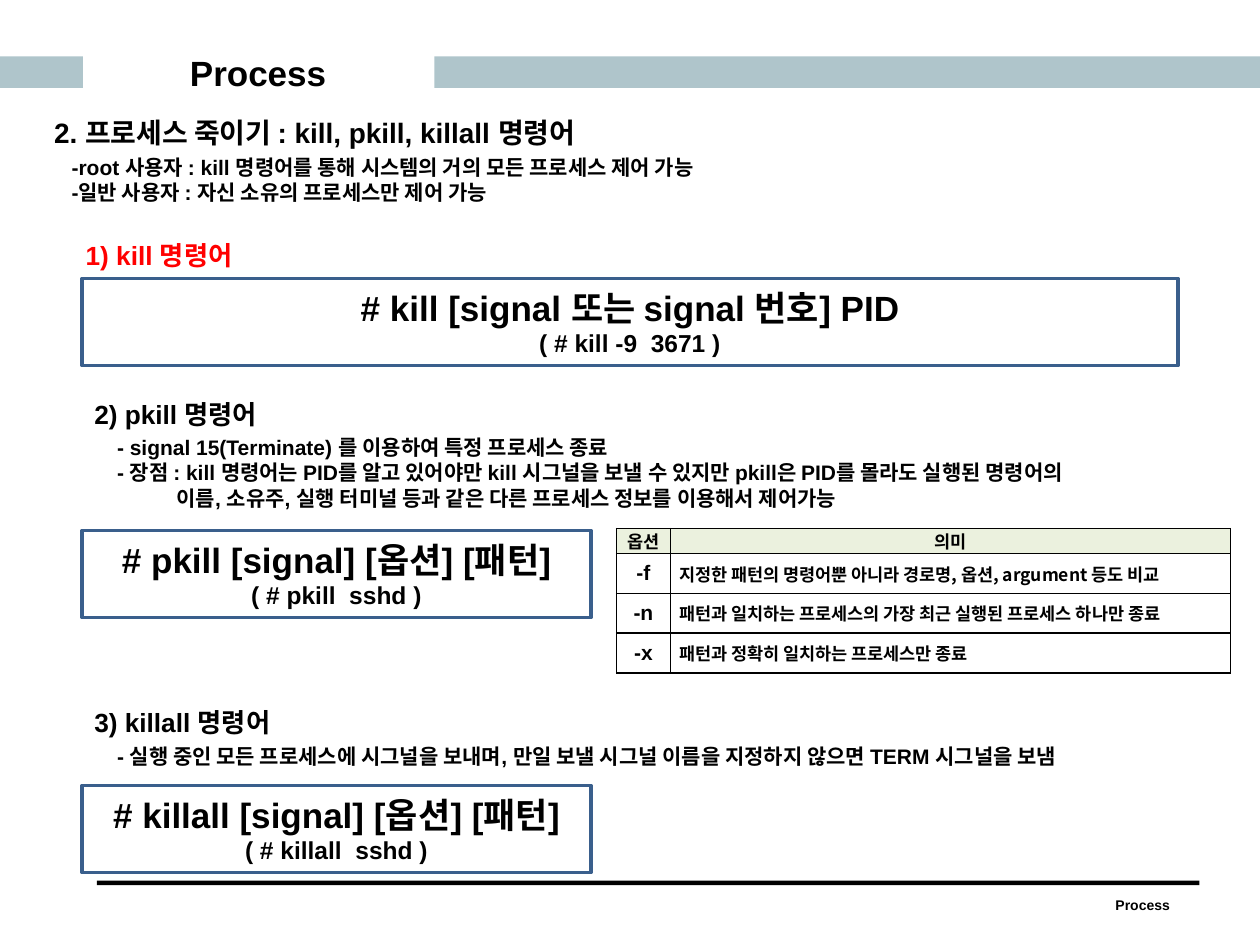
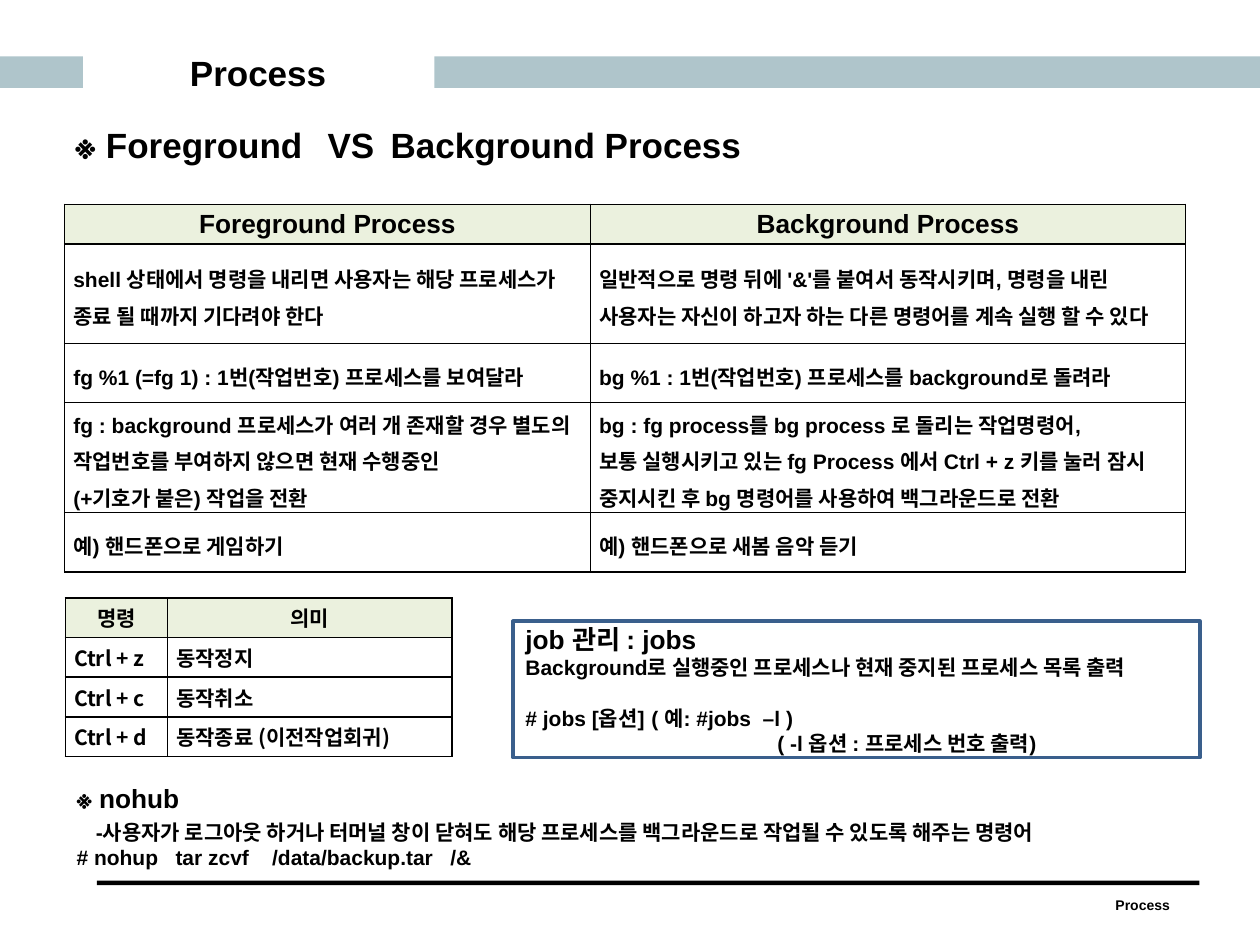
from lxml import etree
from pptx import Presentation
from pptx import util as u
from pptx.dml.color import RGBColor
from pptx.enum import shapes, text
from pptx.oxml.ns import qn

Pt = u.Pt
LATIN, KOREAN = "Arial", "Noto Sans CJK KR"
BLACK, RED, BAND, BORDER, HEADER = "000000", "FF0000", "AFC5CB", "3A5F8C", "EBF1DE"
LEFT, CENTER = text.PP_ALIGN.LEFT, text.PP_ALIGN.CENTER
TOP, MIDDLE = text.MSO_ANCHOR.TOP, text.MSO_ANCHOR.MIDDLE
TITLE_INSET = (6.5, 3)

# ---- Shared content: places are left, top, width, height ----
CHAPTER = "Process"
TITLE_AT = (54, 26, 187, 31)
FOOTER_AT = (620.5, 508.5, 65, 17)
BARS = [((0, 32.2, 47.4, 18), BAND),
        ((248.2, 32.2, 471.8, 18), BAND),
        ((55.4, 503.3, 630, 2.6), BLACK)]

# ---- Slide 1 content; a line is text or (text, format) ----
KILL_NOTES = [
    ((23.8, 62.6, 428, 59), [
        ("2. 프로세스 죽이기 : kill, pkill, killall 명령어", dict(size=16)),
        ("-root 사용자 : kill 명령어를 통해 시스템의 거의 모든 프로세스 제어 가능",
         dict(indent=10, before=3)),
        ("-일반 사용자 : 자신 소유의 프로세스만 제어 가능", dict(indent=10))]),
    ((41.8, 133.2, 106, 25), [("1) kill 명령어", dict(size=15, color=RED))]),
    ((46.8, 223.9, 657, 73), [
        ("2) pkill 명령어", dict(size=15)),
        ("- signal 15(Terminate) 를 이용하여 특정 프로세스 종료",
         dict(indent=13, before=3)),
        ("- 장점 : kill 명령어는 PID를 알고 있어야만 kill 시그널을 보낼 수 있지만 "
         "pkill은 PID를 몰라도 실행된 명령어의", dict(indent=13)),
        ("이름, 소유주, 실행 터미널 등과 같은 다른 프로세스 정보를 이용해서 제어가능",
         dict(indent=47))]),
    ((46.8, 400.3, 657, 44), [
        ("3) killall 명령어", dict(size=15)),
        ("- 실행 중인 모든 프로세스에 시그널을 보내며, 만일 보낼 시그널 이름을 "
         "지정하지 않으면 TERM 시그널을 보냄", dict(indent=13, before=3))]),
]
SYNTAX_LEFT, SYNTAX_HEIGHT = 46.8, 49.7
SYNTAXES = [  # top, width, syntax, example
    (159.2, 626.4, "# kill [signal 또는 signal 번호] PID", "( # kill -9  3671 )"),
    (303.1, 291, "# pkill [signal] [옵션] [패턴]", "( # pkill  sshd )"),
    (448.9, 291, "# killall [signal] [옵션] [패턴]", "( # killall  sshd )"),
]
PKILL_OPTIONS = [
    ("옵션", "의미"),
    ("-f", "지정한 패턴의 명령어뿐 아니라 경로명, 옵션, argument 등도 비교"),
    ("-n", "패턴과 일치하는 프로세스의 가장 최근 실행된 프로세스 하나만 종료"),
    ("-x", "패턴과 정확히 일치하는 프로세스만 종료"),
]

# ---- Slide 2 content ----
VERSUS_AT = (36.7, 67, 409, 31)
VERSUS = "※ Foreground\tVS\tBackground Process"
COMPARISON = [
    ("Foreground Process", "Background Process"),
    ("shell 상태에서 명령을 내리면 사용자는 해당 프로세스가 종료 될 때까지 기다려야 한다",
     "일반적으로 명령 뒤에 '&'를 붙여서 동작시키며, 명령을 내린 사용자는 자신이 "
     "하고자 하는 다른 명령어를 계속 실행 할 수 있다"),
    ("fg %1 (=fg 1) : 1번(작업번호) 프로세스를 보여달라",
     "bg %1 : 1번(작업번호) 프로세스를 background로 돌려라"),
    ("fg : background 프로세스가 여러 개 존재할 경우 별도의 작업번호를 부여하지 "
     "않으면 현재 수행중인\n(+기호가 붙은) 작업을 전환",
     "bg : fg process를 bg process 로 돌리는 작업명령어,\n보통 실행시키고 있는 "
     "fg Process 에서 Ctrl + z 키를 눌러 잠시 중지시킨 후 bg 명령어를 사용하여 "
     "백그라운드로 전환"),
    ("예) 핸드폰으로 게임하기", "예) 핸드폰으로 새봄 음악 듣기"),
]
KEYS = [
    ("명령", "의미"),
    ("Ctrl + z", "동작정지"),
    ("Ctrl + c", "동작취소"),
    ("Ctrl + d", "동작종료 (이전작업회귀)"),
]
JOBS_AT = (293.2, 355, 392.6, 78)
JOBS = [
    ("job 관리 : jobs", dict(size=15)),
    "Background로 실행중인 프로세스나 현재 중지된 프로세스 목록 출력",
    ("# jobs [옵션]\t( 예: #jobs  –l )", dict(before=14.5, tabs=[144])),
    ("( -l 옵션 : 프로세스 번호 출력)", dict(indent=144)),
]
NOHUP_AT = (36.7, 443.5, 634, 58)
NOHUP = [
    ("※ nohub", dict(size=15)),
    ("-사용자가 로그아웃 하거나 터머널 창이 닫혀도 해당 프로세스를 백그라운드로 "
     "작업될 수 있도록 해주는 명령어", dict(indent=11, before=3)),
    "# nohup   tar zcvf    /data/backup.tar   /&",
]


# ---- Helpers ----
def rgb(color):
    return RGBColor.from_string(color)


def place(at):
    return [Pt(length) for length in at]


def write_line(paragraph, words, size=12, color=BLACK, font=LATIN, align=LEFT,
               indent=0, before=0, spacing=None, tabs=()):
    properties = paragraph._p.get_or_add_pPr()
    properties.set("marL", str(Pt(indent)))
    properties.set("indent", "0")
    if tabs:
        stops = etree.SubElement(properties, qn("a:tabLst"))
        for stop in tabs:
            etree.SubElement(stops, qn("a:tab"), pos=str(Pt(stop)), algn="l")
    paragraph.alignment = align
    paragraph.space_before = Pt(before)
    if spacing:
        paragraph.line_spacing = spacing
    run = paragraph.add_run()
    run.text = words
    run.font.size, run.font.bold, run.font.name = Pt(size), True, font
    run.font.color.rgb = rgb(color)
    etree.SubElement(run._r.get_or_add_rPr(), qn("a:ea"), typeface=KOREAN)


def write(frame, lines, **style):
    for i, line in enumerate(lines):
        words, own = (line, {}) if isinstance(line, str) else line
        paragraph = frame.add_paragraph() if i else frame.paragraphs[0]
        write_line(paragraph, words, **{**style, **own})


def set_frame(frame, anchor=TOP, inset=(7.2, 3.6)):
    frame.word_wrap = True
    frame.auto_size = text.MSO_AUTO_SIZE.NONE
    frame.vertical_anchor = anchor
    frame.margin_left = frame.margin_right = Pt(inset[0])
    frame.margin_top = frame.margin_bottom = Pt(inset[1])
    return frame


def add_note(slide, at, lines, anchor=TOP, inset=(7.2, 3.6), **style):
    note = slide.shapes.add_textbox(*place(at))
    write(set_frame(note.text_frame, anchor, inset), lines, **style)


def add_rectangle(slide, at, fill=None, border=None):
    rectangle = slide.shapes.add_shape(shapes.MSO_SHAPE.RECTANGLE, *place(at))
    rectangle.shadow.inherit = False
    if fill:
        rectangle.fill.solid()
        rectangle.fill.fore_color.rgb = rgb(fill)
    else:
        rectangle.fill.background()
    if border:
        rectangle.line.color.rgb = rgb(border)
        rectangle.line.width = Pt(2)
    else:
        rectangle.line.fill.background()
    return rectangle


def add_box(slide, at, lines, **style):
    box = add_rectangle(slide, at, border=BORDER)
    write(set_frame(box.text_frame, MIDDLE), lines, **style)


def add_borders(cell):
    properties = cell._tc.get_or_add_tcPr()
    for side in ("a:lnL", "a:lnR", "a:lnT", "a:lnB"):
        line = etree.SubElement(properties, qn(side), w=str(Pt(1)))
        fill = etree.SubElement(line, qn("a:solidFill"))
        etree.SubElement(fill, qn("a:srgbClr"), val=BLACK)


def add_grid(slide, corner, widths, heights, rows, header, columns):
    """header formats the first row, columns the cells below it."""
    at = (*corner, sum(widths), sum(heights))
    table = slide.shapes.add_table(len(rows), len(widths), *place(at)).table
    table.first_row = table.horz_banding = False
    for column, width in zip(table.columns, widths):
        column.width = Pt(width)
    for r, (row, height) in enumerate(zip(rows, heights)):
        table.rows[r].height = Pt(height)
        for c, words in enumerate(row):
            cell = table.cell(r, c)
            cell.vertical_anchor = MIDDLE
            cell.margin_left = cell.margin_right = Pt(5)
            cell.margin_top = cell.margin_bottom = 0
            add_borders(cell)
            if r:
                cell.fill.background()
            else:
                cell.fill.solid()
                cell.fill.fore_color.rgb = rgb(HEADER)
            style = columns[c] if r else dict(header, align=CENTER)
            write(cell.text_frame, words.split("\n"), **style)


def add_page(deck):
    slide = deck.slides.add_slide(deck.slide_layouts[5])
    for at, color in BARS:
        add_rectangle(slide, at, fill=color)
    title = slide.shapes.title
    title.left, title.top, title.width, title.height = place(TITLE_AT)
    write(set_frame(title.text_frame, MIDDLE, TITLE_INSET), [CHAPTER],
          size=20, align=CENTER)
    add_note(slide, FOOTER_AT, [CHAPTER], size=8, align=CENTER)
    return slide


# ---- Slides ----
def build_kill(deck):
    slide = add_page(deck)
    for at, lines in KILL_NOTES:
        add_note(slide, at, lines)
    for top, width, syntax, example in SYNTAXES:
        add_box(slide, (SYNTAX_LEFT, top, width, SYNTAX_HEIGHT),
                [(syntax, dict(size=20)), (example, dict(size=14))], align=CENTER)
    add_grid(slide, (352.3, 302), [30.8, 320.2], [14] + [22.7] * 3, PKILL_OPTIONS,
             header=dict(size=10, font=KOREAN),
             columns=[dict(align=CENTER), dict(size=10, font=KOREAN)])


def build_jobs(deck):
    slide = add_page(deck)
    add_note(slide, VERSUS_AT, [VERSUS], MIDDLE, TITLE_INSET, size=20, tabs=[146, 184])
    add_grid(slide, (36.9, 116.8), [300.5, 340], [22.7, 56.7, 34, 56.7, 34],
             COMPARISON, header=dict(size=15), columns=[dict(spacing=1.2)] * 2)
    add_grid(slide, (37.4, 341.6), [58.3, 162.7], [22.7] * 4, KEYS,
             header=dict(font=KOREAN), columns=[dict(font=KOREAN)] * 2)
    add_box(slide, JOBS_AT, JOBS)
    add_note(slide, NOHUP_AT, NOHUP)


def main():
    deck = Presentation()
    deck.slide_width, deck.slide_height = Pt(720), Pt(540)
    build_kill(deck)
    build_jobs(deck)
    deck.save("out.pptx")


if __name__ == "__main__":
    main()
